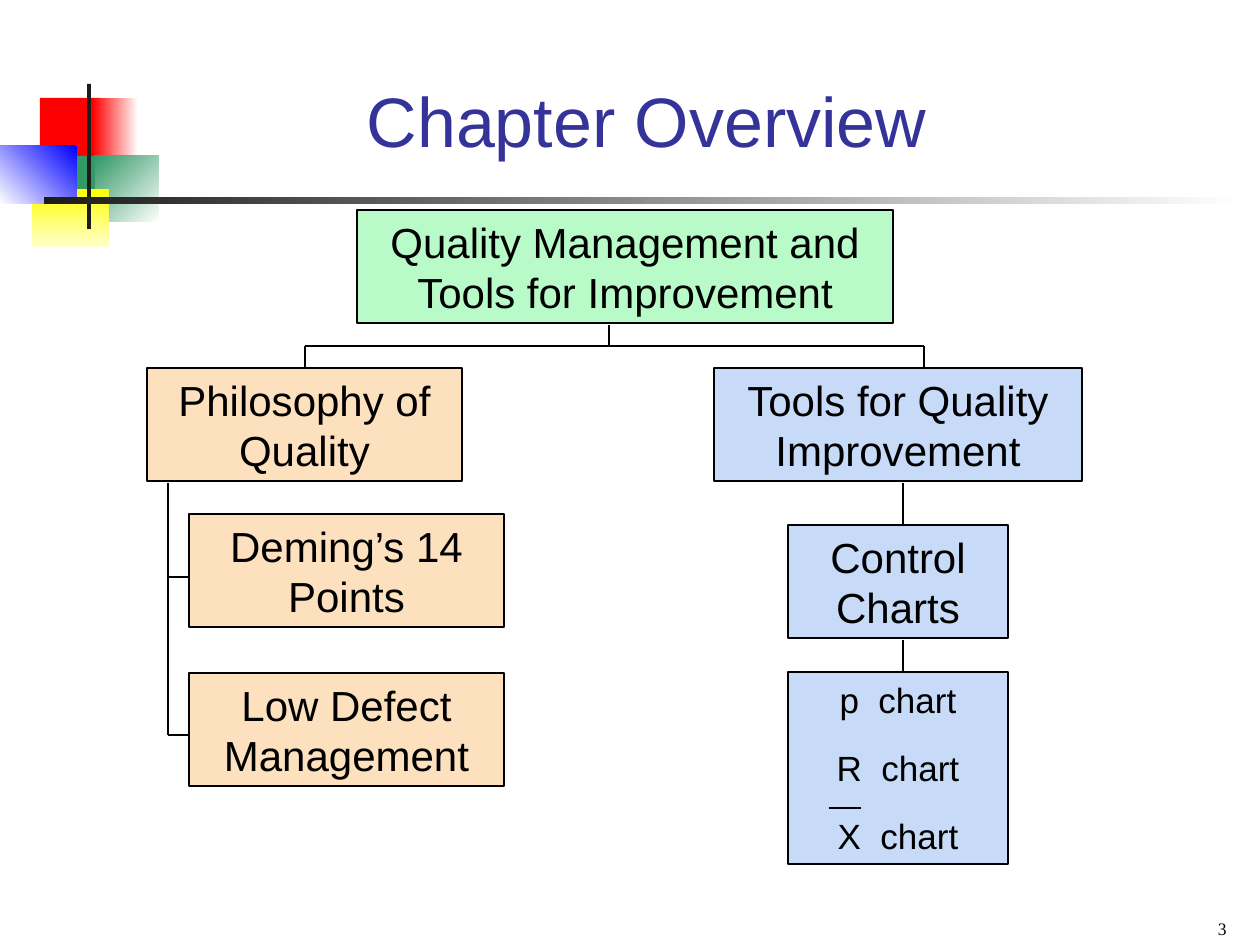
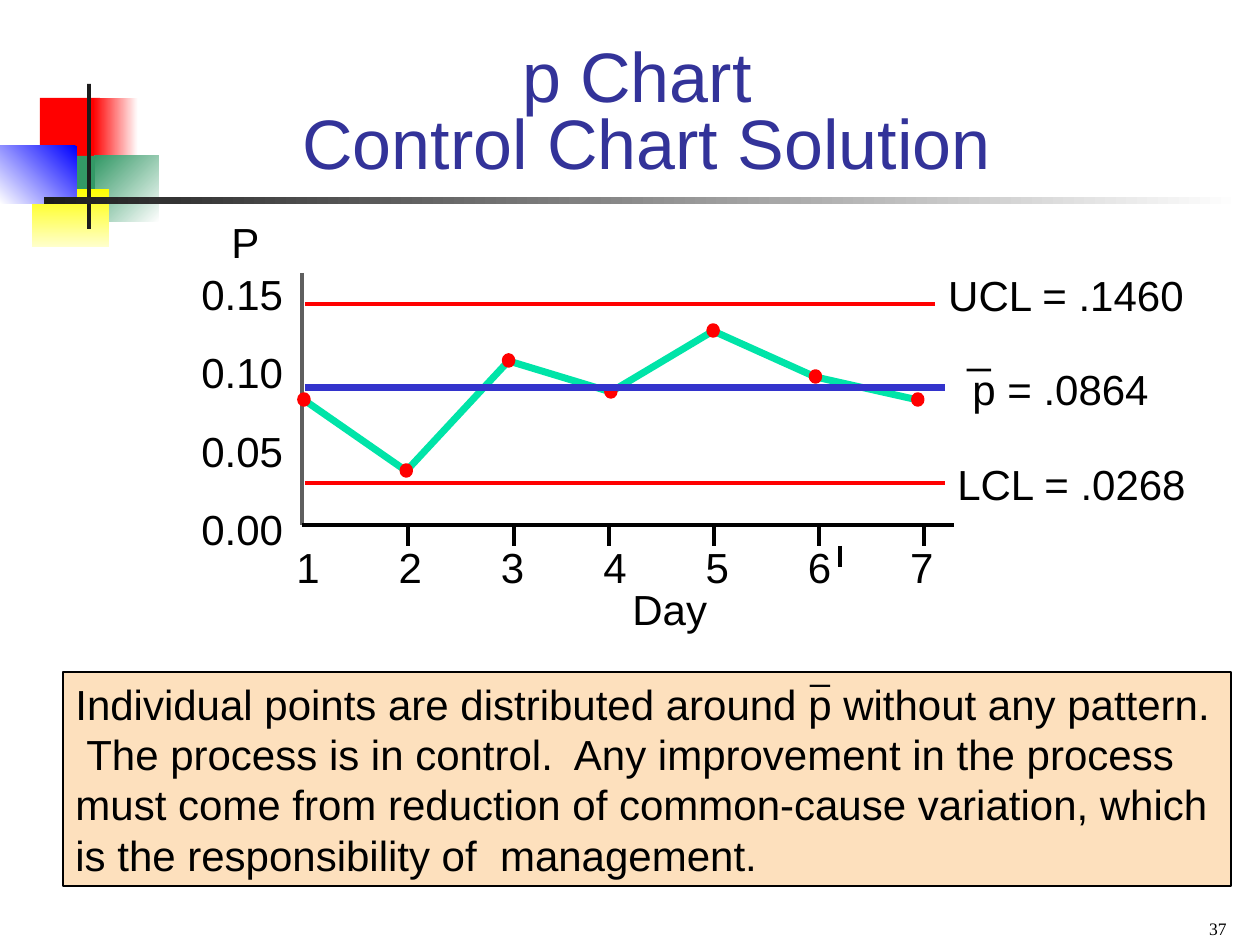
from lxml import etree
from pptx import Presentation
from pptx.dml.color import RGBColor
from pptx.enum.shapes import MSO_CONNECTOR, MSO_SHAPE
from pptx.enum.text import MSO_ANCHOR, MSO_AUTO_SIZE, PP_ALIGN
from pptx.oxml.ns import qn
from pptx.util import Pt

PX = 914400 / 126  # EMU in one px

BLACK = RGBColor(0x00, 0x00, 0x00)
WHITE = RGBColor(0xFF, 0xFF, 0xFF)
INK = RGBColor(0x1C, 0x1C, 0x1C)
GRAY = RGBColor(0x5F, 0x5F, 0x5F)
NAVY = RGBColor(0x33, 0x33, 0x99)
INDIGO = RGBColor(0x33, 0x33, 0xCC)
BLUE = RGBColor(0x00, 0x00, 0xFF)
RED = RGBColor(0xFF, 0x00, 0x00)
GREEN = RGBColor(0x33, 0x99, 0x66)
YELLOW = RGBColor(0xFF, 0xFF, 0x00)
CREAM = RGBColor(0xFF, 0xFF, 0xCC)
MINT = RGBColor(0xB8, 0xFA, 0xC8)
PEACH = RGBColor(0xFD, 0xE0, 0xBD)
SKY = RGBColor(0xC7, 0xDA, 0xF7)
TEAL = RGBColor(0x00, 0xE4, 0xA8)

# Corner motif and rule: left, top, width, height, colours, angle
MOTIF = [
    (40, 98, 60, 66, (RED,), 0),
    (93, 98, 45, 66, (WHITE, RED), 180),
    (95, 156, 64, 66, (WHITE, GREEN), 225),
    (54, 156, 41, 66, (GREEN,), 0),
    (32, 189, 77, 58, (YELLOW, CREAM), 90),
    (0, 146, 77, 58, (BLUE, WHITE), 135),
    (87, 84, 4, 145, (INK,), 0),
    (44, 197, 1198, 7, (WHITE, INK), 180),
]


def emu(*lengths):
    return [round(length * PX) for length in lengths]


def write(frame, text, size=24, font="Arial", color=BLACK, align=PP_ALIGN.LEFT,
          anchor=MSO_ANCHOR.TOP, wrap=True, gap=0, leading=None):
    """Fill a frame: \\n parts paragraphs, \\v breaks a line."""
    frame.auto_size = MSO_AUTO_SIZE.NONE
    frame.word_wrap = wrap
    frame.vertical_anchor = anchor
    frame.text = text
    for i, para in enumerate(frame.paragraphs):
        para.alignment = align
        para.line_spacing = leading
        para.space_before = Pt(gap if i else 0)
        for run in para.runs:
            run.font.size = Pt(size)
            run.font.name = font
            run.font.color.rgb = color


def label(slide, text, left, top, width, height=63, **style):
    box = slide.shapes.add_textbox(*emu(left, top, width, height))
    write(box.text_frame, text, **style)


def shape(slide, kind, left, top, width, height, fill, edge=None, weight=0.75):
    item = slide.shapes.add_shape(kind, *emu(left, top, width, height))
    item.shadow.inherit = False
    item.fill.solid()
    item.fill.fore_color.rgb = fill
    if edge is None:
        item.line.fill.background()
    else:
        item.line.color.rgb = edge
        item.line.width = Pt(weight)
    return item


def panel(slide, text, left, top, width, height, fill, **style):
    item = shape(slide, MSO_SHAPE.RECTANGLE, left, top, width, height, fill, BLACK)
    write(item.text_frame, text, **style)


def rule(slide, x1, y1, x2, y2, color=BLACK, weight=1.5):
    line = slide.shapes.add_connector(MSO_CONNECTOR.STRAIGHT, *emu(x1, y1, x2, y2))
    line.line.color.rgb = color
    line.line.width = Pt(weight)
    etree.SubElement(line._element.spPr, qn("a:effectLst"))


def curve(slide, points, color, weight):
    spots = [emu(*point) for point in points]
    path = slide.shapes.build_freeform(*spots[0], scale=1.0)
    path.add_line_segments(spots[1:], close=False)
    item = path.convert_to_shape()
    item.shadow.inherit = False
    item.fill.background()
    item.line.color.rgb = color
    item.line.width = Pt(weight)


def motif(slide):
    for left, top, width, height, colors, angle in MOTIF:
        item = shape(slide, MSO_SHAPE.RECTANGLE, left, top, width, height, colors[0])
        if len(colors) > 1:
            item.fill.gradient()
            item.fill.gradient_angle = 360 - angle
            for stop, color, place in zip(item.fill.gradient_stops, colors, (0, 1)):
                stop.color.rgb = color
                stop.position = place


def start(deck, title, top, number, leading=None):
    """Add a slide with its motif, title and page number."""
    slide = deck.slides.add_slide(deck.slide_layouts[5])
    motif(slide)
    head = slide.shapes.title
    head.left, head.top, head.width, head.height = emu(159, top, 975, 136)
    write(head.text_frame, title, size=40, color=NAVY, align=PP_ALIGN.CENTER,
          anchor=MSO_ANCHOR.BOTTOM, leading=leading)
    label(slide, number, 945, 901, 294, 44, size=10, font="Times New Roman",
          align=PP_ALIGN.RIGHT, anchor=MSO_ANCHOR.BOTTOM)
    return slide


def outline(deck):
    slide = start(deck, "Chapter Overview", 32, "3")

    # Topic boxes
    for text, left, top, width, fill in [
        ("Quality Management and Tools for Improvement", 357, 210, 536, MINT),
        ("Philosophy of Quality", 147, 368, 315, PEACH),
        ("Deming’s 14 Points", 189, 514, 315, PEACH),
        ("Low Defect Management", 189, 673, 315, PEACH),
        ("Tools for Quality Improvement", 714, 368, 368, SKY),
        ("Control Charts", 788, 525, 220, SKY),
    ]:
        panel(slide, text, left, top, width, 113, fill, align=PP_ALIGN.CENTER)
    panel(slide, "p  chart\nR  chart\nX  chart", 788, 672, 220, 192, SKY,
          size=20, align=PP_ALIGN.CENTER, gap=15)

    # Branches, then the bar over X
    for ends in [
        (609, 325, 609, 346), (305, 346, 924, 346),
        (305, 346, 305, 368), (924, 346, 924, 368),
        (168, 483, 168, 735), (168, 577, 189, 577), (168, 735, 189, 735),
        (903, 483, 903, 525), (903, 640, 903, 672),
        (829, 808, 861, 808),
    ]:
        rule(slide, *ends)


def control(deck):
    slide = start(deck, "p Chart \vControl Chart Solution", 53, "37", leading=0.8)

    # Axes and ticks
    rule(slide, 302, 273, 302, 525, GRAY, 2.25)
    rule(slide, 302, 525, 954, 525, weight=2)
    for x in (408, 514, 609, 714, 819, 924):
        rule(slide, x, 525, x, 546, weight=2)
    rule(slide, 840, 546, 840, 567, weight=2)

    # Daily proportions
    step = 102.3
    points = [(304 + step * day, y)
              for day, y in enumerate((400, 471, 361, 392, 331, 377, 400))]
    curve(slide, points, TEAL, 4)
    for x, y in points:
        shape(slide, MSO_SHAPE.OVAL, x - 5, y - 6, 10, 11, RED, RED, 2)

    # Axis labels
    for i, text in enumerate(("0.15", "0.10", "0.05", "0.00")):
        label(slide, text, 189, 262 + 78.6 * i, 107, wrap=False)
    for day in range(7):
        label(slide, str(day + 1), 284 + step * day, 535, 48, wrap=False)
    label(slide, "P", 219, 210, 77)
    label(slide, "Day", 620, 577, 100, wrap=False)

    # Control limits and centre line
    rule(slide, 305, 483, 945, 483, RED, 2.25)
    rule(slide, 305, 304, 935, 304, RED, 2.25)
    rule(slide, 305, 388, 945, 388, INDIGO, 4)
    label(slide, "UCL = .1460", 935, 263, 262, align=PP_ALIGN.CENTER)
    label(slide, "p = .0864", 960, 357, 258)
    label(slide, "LCL = .0268", 935, 452, 273, align=PP_ALIGN.CENTER)

    # Conclusion
    panel(slide, "Individual points are distributed around p without any pattern.  "
          "The process is in control.  Any improvement in the process must come "
          "from reduction of common-cause variation, which is the responsibility "
          "of  management.", 63, 672, 1168, 214, PEACH)

    # Bars over p
    label(slide, "_", 955, 315, 53)
    label(slide, "_", 798, 639, 53, 54, size=20)


def main():
    deck = Presentation()
    deck.slide_width, deck.slide_height = emu(1260, 945)
    outline(deck)
    control(deck)
    deck.save("out.pptx")


if __name__ == "__main__":
    main()
